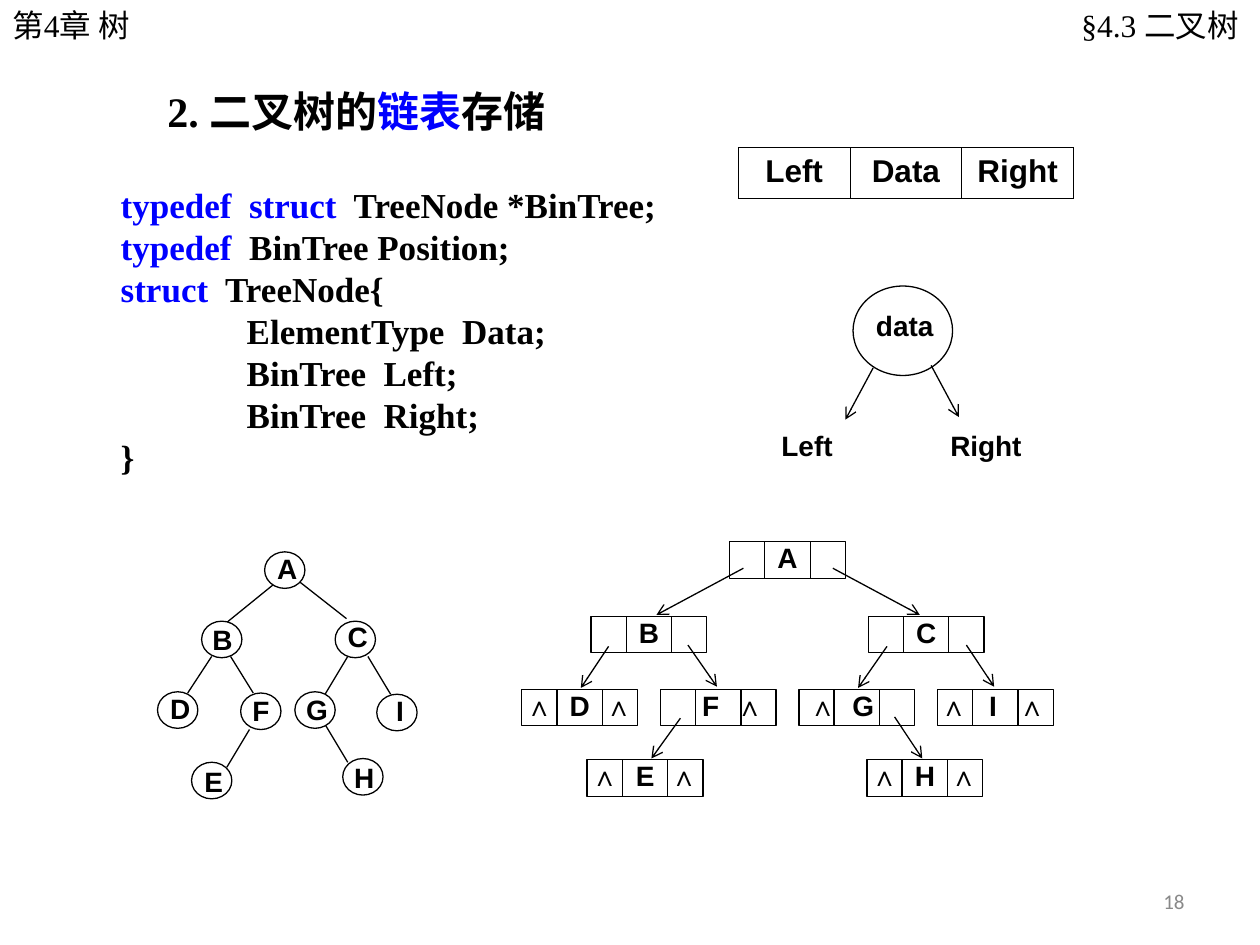
from lxml import etree
from pptx import Presentation
from pptx.dml.color import RGBColor
from pptx.enum.shapes import MSO_CONNECTOR, MSO_SHAPE
from pptx.enum.text import MSO_ANCHOR, PP_ALIGN
from pptx.oxml.ns import qn
from pptx.util import Inches, Pt

LEFT, CENTER, RIGHT = PP_ALIGN.LEFT, PP_ALIGN.CENTER, PP_ALIGN.RIGHT
TOP, MIDDLE = MSO_ANCHOR.TOP, MSO_ANCHOR.MIDDLE
OVAL, RECTANGLE = MSO_SHAPE.OVAL, MSO_SHAPE.RECTANGLE
STRAIGHT = MSO_CONNECTOR.STRAIGHT
COLORS = {"black": "000000", "blue": "0000FF", "gray": "898989", "white": "FFFFFF"}
SERIF, SANS = "Times New Roman", "Arial"


class SlideBuilder:
    """Draws styled text, tables, nodes and lines on one slide."""

    def __init__(self, slide):
        self.slide = slide
        self.line_width = Pt(0.75)

    def color(self, name):
        return RGBColor.from_string(COLORS[name])

    def set_text(self, frame, lines, size, font, bold=False, align=LEFT, spacing=None,
                 tabs=(), margins=(0.1, 0.05)):
        frame.margin_left = frame.margin_right = Inches(margins[0])
        frame.margin_top = frame.margin_bottom = Inches(margins[1])
        for index, parts in enumerate(lines):
            paragraph = frame.add_paragraph() if index else frame.paragraphs[0]
            if tabs:
                tab_list = etree.SubElement(paragraph._p.get_or_add_pPr(), qn("a:tabLst"))
                for position, kind in tabs:
                    etree.SubElement(tab_list, qn("a:tab"), pos=str(Inches(position)), algn=kind)
            paragraph.alignment = align
            if spacing:
                paragraph.line_spacing = spacing
            for text, color in parts:
                run = paragraph.add_run()
                run.text = text
                run.font.size = Pt(size)
                run.font.name = font
                run.font.bold = bold
                run.font.color.rgb = self.color(color)

    def text(self, box, lines, size, font, anchor=TOP, wrap=True, **style):
        shape = self.slide.shapes.add_textbox(*map(Inches, box))
        shape.text_frame.word_wrap = wrap
        shape.text_frame.vertical_anchor = anchor
        self.set_text(shape.text_frame, lines, size, font, **style)

    def label(self, box, text, spacing=None):
        self.text(box, [[(text, "black")]], 16, SANS, bold=True, align=CENTER,
                  spacing=spacing, margins=(0, 0))

    def shape(self, kind, box):
        shape = self.slide.shapes.add_shape(kind, *map(Inches, box))
        shape.shadow.inherit = False
        shape.fill.solid()
        shape.fill.fore_color.rgb = self.color("white")
        shape.line.color.rgb = self.color("black")
        shape.line.width = self.line_width
        return shape

    def line(self, x1, y1, x2, y2, arrow=False):
        connector = self.slide.shapes.add_connector(STRAIGHT, *map(Inches, (x1, y1, x2, y2)))
        connector.line.color.rgb = self.color("black")
        connector.line.width = self.line_width
        properties = connector._element.spPr
        if arrow:
            etree.SubElement(properties.find(qn("a:ln")), qn("a:tailEnd"), type="arrow")
        etree.SubElement(properties, qn("a:effectLst"))

    def linked_node(self, name, left, top, left_mark="", right_mark="", shift=0):
        width, height = 0.92, 0.29
        shape = self.shape(RECTANGLE, (left, top, width, height))
        frame = shape.text_frame
        frame.vertical_anchor = TOP
        tabs = [(center + shift, "ctr") for center in (0.12, 0.44, 0.75)]
        text = f"\t{left_mark}\t{name}\t{right_mark}".rstrip()
        self.set_text(frame, [[(text, "black")]], 16, SANS, bold=True, spacing=0.96,
                      tabs=tabs, margins=(0.02, 0.01))
        for divider in (0.28, 0.64):
            self.line(left + divider, top, left + divider, top + height)

    def table(self, box, headings):
        table = self.slide.shapes.add_table(1, len(headings), *map(Inches, box)).table
        for cell, heading in zip(table.iter_cells(), headings):
            cell.fill.background()
            self.set_text(cell.text_frame, [[(heading, "black")]], 18, SANS, bold=True,
                          align=CENTER)
            cell.margin_left = cell.margin_right = Inches(0.08)
            cell.margin_top = cell.margin_bottom = Inches(0.05)
            properties = cell._tc.get_or_add_tcPr()
            for index, side in enumerate(("lnL", "lnR", "lnT", "lnB")):
                border = etree.Element(qn(f"a:{side}"), w=str(Pt(0.45)))
                fill = etree.SubElement(border, qn("a:solidFill"))
                etree.SubElement(fill, qn("a:srgbClr"), val=COLORS["black"])
                properties.insert(index, border)


def draw_text(builder):
    builder.text((7.17, 6.95, 2.33, 0.4), [[("18", "gray")]], 12, "Calibri",
                 anchor=MIDDLE, align=RIGHT)
    title = [("2. 二叉树的", "black"), ("链表", "blue"), ("存储", "black")]
    builder.text((1.23, 0.63, 3.28, 0.5), [title], 24, SERIF, wrap=False, bold=True)
    builder.text((0, 0, 2.09, 0.4), [[("第4章 树", "black")]], 18, SERIF)
    builder.text((6.18, 0, 3.75, 0.4), [[("§4.3 二叉树", "black")]], 18, SERIF, align=RIGHT)
    code = [
        [("typedef  struct", "blue"), ("  TreeNode *BinTree;", "black")],
        [("typedef", "blue"), ("  BinTree Position;", "black")],
        [("struct", "blue"), ("  TreeNode{", "black")],
        [("\tElementType  Data;", "black")],
        [("\tBinTree  Left;", "black")],
        [("\tBinTree  Right;", "black")],
        [("}", "black")],
    ]
    builder.text((0.86, 1.41, 5, 2.44), code, 20, SERIF, bold=True, tabs=[(1, "l")])


def draw_node_structure(builder):
    builder.table((5.86, 1.17, 2.66, 0.39), ("Left", "Data", "Right"))
    builder.shape(OVAL, (6.77, 2.27, 0.79, 0.71))
    builder.label((6.92, 2.45, 0.52, 0.28), "data")
    builder.line(6.93, 2.92, 6.71, 3.33, arrow=True)
    builder.line(7.39, 2.9, 7.61, 3.31, arrow=True)
    builder.label((5.86, 3.4, 1.09, 0.34), "Left")
    builder.label((7.17, 3.4, 1.31, 0.34), "Right")


def draw_linked_tree(builder):
    null = "∧"
    nodes = [
        ("A", 5.79, 4.3), ("B", 4.69, 4.89), ("C", 6.89, 4.89),
        ("D", 4.14, 5.47, null, null), ("F", 5.24, 5.47, "", null, -0.06),
        ("G", 6.34, 5.47, null, "", 0.05), ("I", 7.44, 5.47, null, null, -0.02),
        ("E", 4.66, 6.03, null, null), ("H", 6.88, 6.03, null, null),
    ]
    for node in nodes:
        builder.linked_node(*node)
    pointers = [
        (5.9, 4.51, 5.21, 4.88), (6.61, 4.51, 7.3, 4.88),
        (4.83, 5.13, 4.61, 5.46), (5.46, 5.12, 5.69, 5.45),
        (7.04, 5.13, 6.81, 5.46), (7.67, 5.12, 7.89, 5.45),
        (5.4, 5.7, 5.17, 6.02), (7.1, 5.69, 7.32, 6.02),
    ]
    for pointer in pointers:
        builder.line(*pointer, arrow=True)


def draw_binary_tree(builder):
    edges = [
        (2.17, 4.64, 1.8, 4.94), (2.38, 4.62, 2.75, 4.91),
        (1.68, 5.21, 1.49, 5.5), (1.83, 5.21, 2.01, 5.5),
        (2.76, 5.21, 2.58, 5.51), (2.92, 5.21, 3.1, 5.51),
        (1.98, 5.79, 1.8, 6.09), (2.58, 5.75, 2.76, 6.05),
    ]
    for edge in edges:
        builder.line(*edge)
    nodes = [
        ("A", 2.1, 4.38, 2.2, 4.43, 0.15), ("B", 1.6, 4.93, 1.65, 4.99, 0.23),
        ("C", 2.66, 4.93, 2.76, 4.97, 0.15), ("D", 1.25, 5.49, 1.34, 5.54, 0.18),
        ("F", 1.91, 5.5, 1.98, 5.56, 0.18), ("G", 2.34, 5.49, 2.43, 5.55, 0.15),
        ("I", 2.99, 5.51, 3.1, 5.56, 0.15), ("E", 1.52, 6.05, 1.62, 6.12, 0.15),
        ("H", 2.72, 6.02, 2.81, 6.09, 0.15),
    ]
    for name, left, top, label_left, label_top, label_width in nodes:
        builder.shape(OVAL, (left, top, 0.32, 0.29))
        builder.label((label_left, label_top, label_width, 0.2), name, spacing=0.8)


def main():
    presentation = Presentation()
    presentation.slide_width, presentation.slide_height = Inches(10), Inches(7.5)
    builder = SlideBuilder(presentation.slides.add_slide(presentation.slide_layouts[6]))
    draw_text(builder)
    draw_node_structure(builder)
    draw_linked_tree(builder)
    draw_binary_tree(builder)
    presentation.save("out.pptx")


if __name__ == "__main__":
    main()
